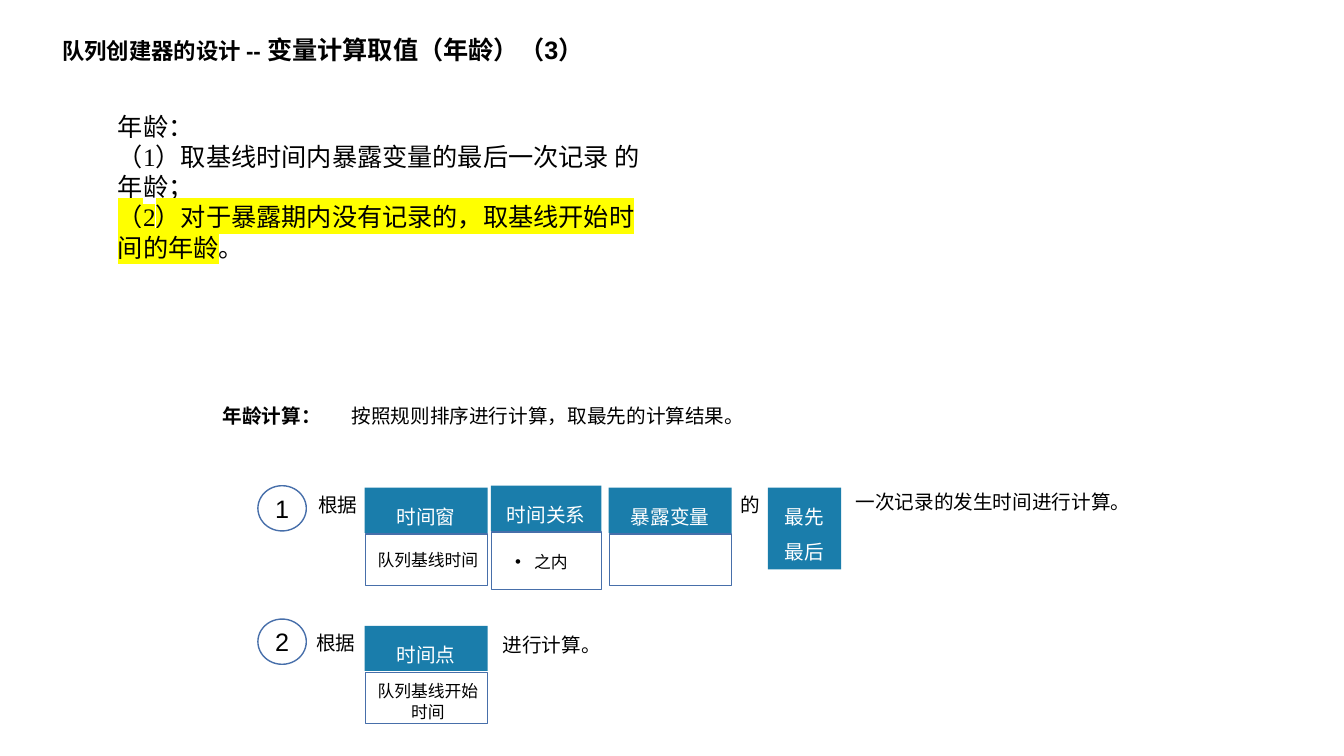
"""Build the slide on how the cohort builder calculates age."""
from lxml import etree
from pptx import Presentation
from pptx import util as u
from pptx.dml.color import RGBColor
from pptx.enum import shapes, text
from pptx.oxml import ns

BLACK = RGBColor(0x00, 0x00, 0x00)
WHITE = RGBColor(0xFF, 0xFF, 0xFF)
TEAL = RGBColor(0x1A, 0x7D, 0xAB)
OUTLINE = RGBColor(0x47, 0x6F, 0xAA)
YELLOW = RGBColor(0xFF, 0xFF, 0x00)
CENTER = text.PP_ALIGN.CENTER
GROW = text.MSO_AUTO_SIZE.SHAPE_TO_FIT_TEXT
RECT = shapes.MSO_SHAPE.RECTANGLE
OVAL = shapes.MSO_SHAPE.OVAL


class RuleSlide:
    """Hold the text style and the current slide, and draw its elements."""

    base = {"name": "Arial", "size": u.Pt(14), "bold": False}

    def __init__(self, deck):
        self.slide = deck.slides.add_slide(deck.slide_layouts[6])

    def fill_text(self, frame, paragraphs, color=BLACK, align=None, spacing=None, bullet=False, **style):
        frame.word_wrap = True
        for index, runs in enumerate(paragraphs):
            paragraph = frame.paragraphs[0] if index == 0 else frame.add_paragraph()
            layout = {"alignment": align, "line_spacing": spacing}
            for key, value in layout.items():
                setattr(paragraph, key, value)
            if bullet:
                props = paragraph._p.get_or_add_pPr()
                props.set("marL", str(u.Cm(0.48)))
                props.set("indent", str(-u.Cm(0.48)))
                etree.SubElement(props, ns.qn("a:buFont"), typeface="Arial")
                etree.SubElement(props, ns.qn("a:buChar"), char="•")
            for words, changes in runs:
                run = paragraph.add_run()
                run.text = words
                formats = {**self.base, **style, **changes}
                highlight = formats.pop("highlight", None)
                run.font.color.rgb = color
                for key, value in formats.items():
                    setattr(run.font, key, value)
                if highlight:
                    mark = etree.Element(ns.qn("a:highlight"))
                    etree.SubElement(mark, ns.qn("a:srgbClr"), val=str(highlight))
                    run._r.get_or_add_rPr().find(ns.qn("a:latin")).addprevious(mark)

    def label(self, place, *paragraphs, **style):
        box = self.slide.shapes.add_textbox(*map(u.Cm, place))
        self.fill_text(box.text_frame, paragraphs, **style)
        box.text_frame.auto_size = GROW

    def phrase(self, place, words, **style):
        self.label(place, [(words, {})], **style)

    def shape(self, kind, place, fill=None):
        shape = self.slide.shapes.add_shape(kind, *map(u.Cm, place))
        shape.shadow.inherit = False
        if fill:
            shape.fill.solid()
            shape.fill.fore_color.rgb = fill
            shape.line.fill.background()
        else:
            shape.fill.background()
            shape.line.color.rgb = OUTLINE
            shape.line.width = u.Pt(1)
        return shape

    def block(self, place, *lines):
        frame = self.shape(RECT, place, TEAL).text_frame
        frame.vertical_anchor = text.MSO_ANCHOR.TOP
        self.fill_text(frame, [[(line, {})] for line in lines], WHITE, CENTER, 1.5)
        frame.auto_size = GROW

    def card(self, left, top, width, heading, depth=1.3):
        self.block((left, top, width, 1.14), heading)
        self.shape(RECT, (left + 0.02, top + 1.17, width - 0.02, depth))

    def step(self, top, number):
        frame = self.shape(OVAL, (6.5, top, 1.22, 1.14)).text_frame
        frame.vertical_anchor = text.MSO_ANCHOR.MIDDLE
        self.fill_text(frame, [[(number, {})]], align=CENTER, size=u.Pt(18))


def main():
    deck = Presentation()
    deck.slide_width, deck.slide_height = u.Cm(33.87), u.Cm(19.05)
    page = RuleSlide(deck)

    page.label((1.32, 0.74, 16.13, 1.02),
               [("队列创建器的设计 -- ", {"size": u.Pt(16)}), ("变量计算取值（年龄）（3）", {})],
               size=u.Pt(18), bold=True)
    page.label((2.72, 2.67, 14, 4.09),
               [("年龄：", {})],
               [("（1）取基线时间内暴露变量的最后一次记录 ", {}), ("的年龄", {"name": "Arial"}), ("；", {})],
               [("（2）对于暴露期内没有记录的，取基线开始时间的年龄", {"highlight": YELLOW}), ("。", {})],
               size=u.Pt(18), name="Times New Roman")

    page.phrase((5.36, 9.75, 3.89, 1.14), "年龄计算：", spacing=1.5, bold=True)
    page.phrase((8.61, 9.75, 11.53, 1.14), "按照规则排序进行计算，取最先的计算结果。", spacing=1.5)

    page.step(12.24, "1")
    page.phrase((7.77, 12.29, 1.8, 0.86), "根据")
    page.card(9.19, 12.29, 3.1, "时间窗")
    page.phrase((9.25, 13.72, 3.07, 0.76), "队列基线时间", align=CENTER, size=u.Pt(12))
    page.card(12.37, 12.24, 2.79, "时间关系", 1.45)
    page.phrase((12.73, 13.67, 2.03, 0.76), "之内", spacing=1.2, bullet=True, size=u.Pt(12))
    page.card(15.34, 12.29, 3.1, "暴露变量")
    page.phrase((18.42, 12.29, 1.07, 0.86), "的")
    page.block((19.35, 12.29, 1.85, 2.06), "最先", "最后")
    page.phrase((21.31, 12.22, 7.65, 0.86), "一次记录的发生时间进行计算。")

    page.step(15.6, "2")
    page.phrase((7.72, 15.77, 1.8, 0.86), "根据")
    page.card(9.19, 15.77, 3.1, "时间点")
    page.phrase((9.25, 17.04, 3.07, 1.27), "队列基线开始时间", align=CENTER, size=u.Pt(12))
    page.phrase((12.42, 15.82, 3.1, 0.86), "进行计算。")

    deck.save("out.pptx")


if __name__ == "__main__":
    main()
